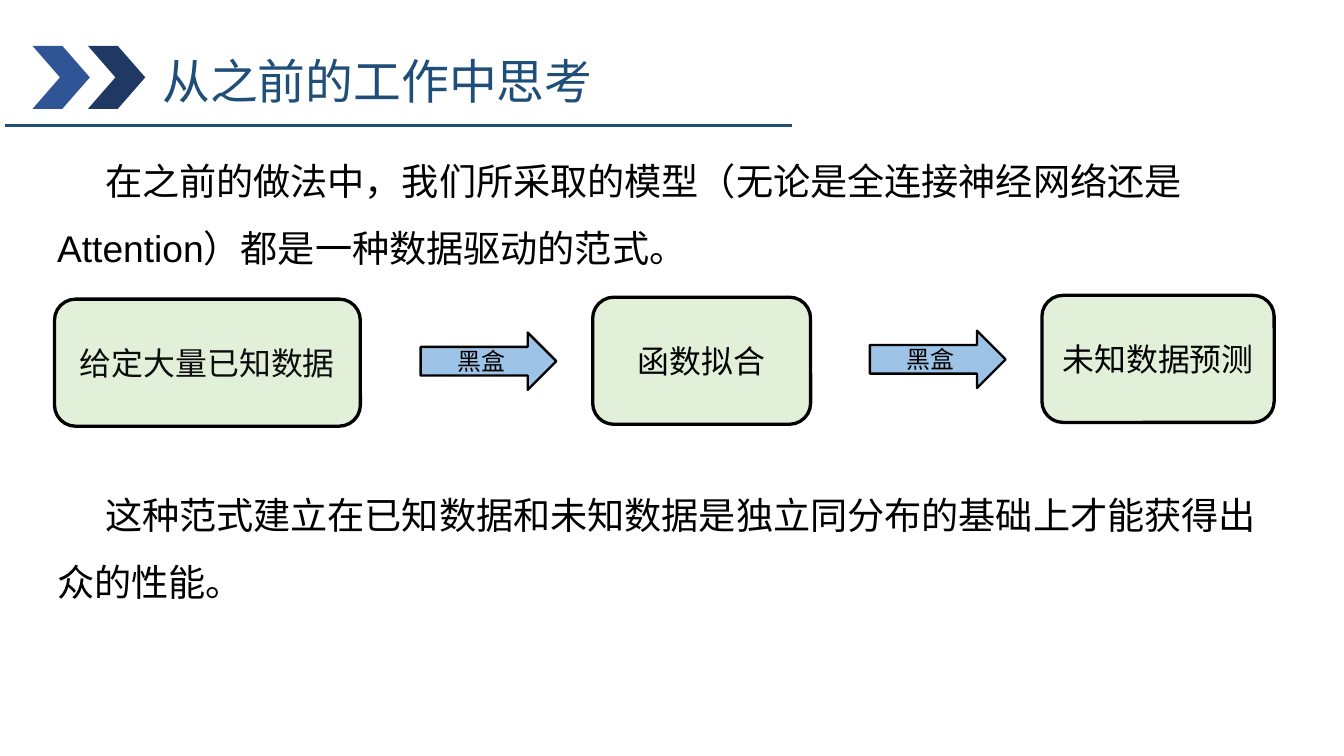
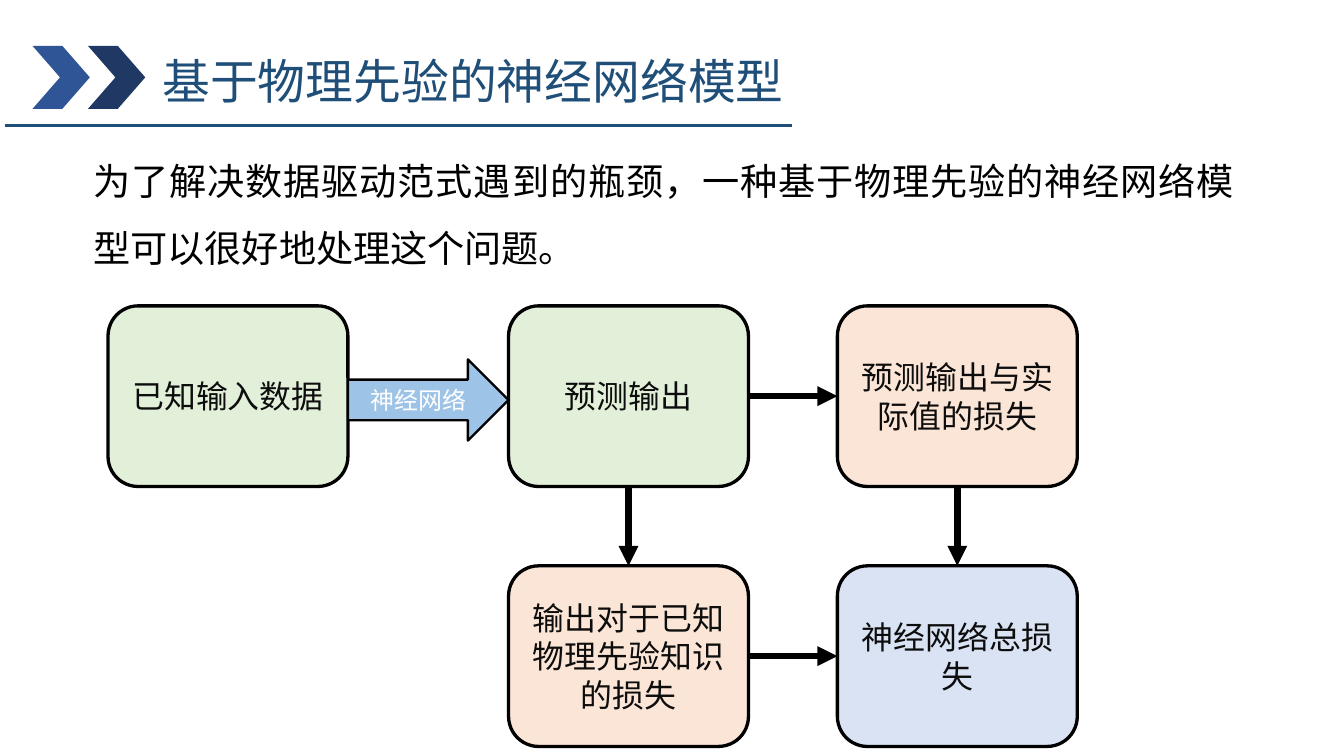
import pptx
import pptx.dml.color
import pptx.enum.shapes
import pptx.enum.text
import pptx.oxml.xmlchemy
import pptx.util

Inches = pptx.util.Inches
Pt = pptx.util.Pt
rgb = pptx.dml.color.RGBColor.from_string
Kind = pptx.enum.shapes.MSO_SHAPE
Align = pptx.enum.text.PP_ALIGN
Anchor = pptx.enum.text.MSO_ANCHOR
SubElement = pptx.oxml.xmlchemy.OxmlElement

NAVY = "1F4E79"
BLACK = "000000"
INK = "0D0D0D"
WHITE = "FFFFFF"
GREEN = "E2F0D9"
ORANGE = "FBE5D6"
PALE_BLUE = "DAE3F3"
ARROW_BLUE = "9DC3E6"


def write(text_frame, text, size, font, color, align=Align.LEFT, spacing=None):
    text_frame.word_wrap = True
    text_frame.text = text
    for paragraph in text_frame.paragraphs:
        paragraph.alignment = align
        paragraph.line_spacing = spacing
        for run in paragraph.runs:
            run.font.size = Pt(size)
            run.font.name = font
            run.font.language_id = pptx.enum.lang.MSO_LANGUAGE_ID.SIMPLIFIED_CHINESE
            run.font.color.rgb = rgb(color)
            east_asian = SubElement("a:ea")
            east_asian.set("typeface", "Calibri")
            run.font._element.find(pptx.oxml.ns.qn("a:latin")).addnext(east_asian)


def add_block(slide, kind, place, fill, text="", size=24, color=INK, border=None):
    shape = slide.shapes.add_shape(kind, *[Inches(value) for value in place])
    shape.shadow.inherit = False
    shape.fill.solid()
    shape.fill.fore_color.rgb = rgb(fill)
    if border:
        shape.line.color.rgb = rgb(BLACK)
        shape.line.width = Pt(border)
    else:
        shape.line.fill.background()
    if text:
        shape.text_frame.vertical_anchor = Anchor.MIDDLE
        write(shape.text_frame, text, size, "Calibri", color, Align.CENTER)
    return shape


presentation = pptx.Presentation()
presentation.slide_width = Inches(14.06)
presentation.slide_height = Inches(7.91)

pages = [
    ("从之前的工作中思考", (0.5, 1.37, 12.99, 4.94), Align.LEFT,
     "在之前的做法中，我们所采取的模型（无论是全连接神经网络还是Attention）都是一种数据驱动的范式。\n"
     "这种范式建立在已知数据和未知数据是独立同分布的基础上才能获得出众的性能。"),
    ("基于物理先验的神经网络模型", (0.88, 1.37, 12.13, 1.4), Align.JUSTIFY,
     "为了解决数据驱动范式遇到的瓶颈，一种基于物理先验的神经网络模型可以很好地处理这个问题。"),
]
slides = []
bodies = []
connectors = []
for title, body_place, body_align, body_text in pages:
    slide = presentation.slides.add_slide(presentation.slide_layouts[6])
    slides.append(slide)

    title_box = slide.shapes.add_textbox(Inches(1.6), Inches(0.25), Inches(8.67), Inches(0.86))
    write(title_box.text_frame, title, 36, "Noto Sans CJK SC", NAVY, spacing=1.4)
    for left, fill in ((0.34, "2F5597"), (0.92, "203864")):
        chevron = add_block(slide, Kind.CHEVRON, (left, 0.48, 0.6, 0.66), fill)
        chevron.adjustments[0] = 0.48

    rule = slide.shapes.add_connector(
        pptx.enum.shapes.MSO_CONNECTOR.STRAIGHT,
        Inches(0.05), Inches(1.31), Inches(8.29), Inches(1.31))
    rule.line.color.rgb = rgb(NAVY)
    rule.line.width = Pt(2.25)
    connectors.append(rule)

    body = slide.shapes.add_textbox(*[Inches(value) for value in body_place])
    write(body.text_frame, body_text, 28, "Arial", BLACK, body_align, 1.5)
    bodies.append(body)

thinking, physics = slides

for paragraph in bodies[0].text_frame.paragraphs:
    paragraph._p.get_or_add_pPr().set("indent", str(Inches(0.5)))
bodies[0].text_frame.paragraphs[1].space_before = Pt(151)

for text, left, top, width, color in (
    ("给定大量已知数据", 0.57, 3.13, 3.2, INK),
    ("函数拟合", 6.2, 3.11, 2.28, BLACK),
    ("未知数据预测", 10.9, 3.09, 2.43, BLACK),
):
    add_block(thinking, Kind.ROUNDED_RECTANGLE, (left, top, width, 1.33), GREEN, text,
              color=color, border=2.5)
for left, top in ((4.4, 3.48), (9.1, 3.46)):
    add_block(thinking, Kind.RIGHT_ARROW, (left, top, 1.42, 0.6), ARROW_BLUE, "黑盒",
              18, BLACK, 1.75)

columns = (1.13, 5.32, 8.76)
rows = (3.2, 5.92)
box_width, box_height = 2.51, 1.89
boxes = {}
for name, text, column, row, fill in (
    ("input", "已知输入数据", 0, 0, GREEN),
    ("output", "预测输出", 1, 0, GREEN),
    ("physics loss", "输出对于已知物理先验知识的损失", 1, 1, ORANGE),
    ("data loss", "预测输出与实际值的损失", 2, 0, ORANGE),
    ("total loss", "神经网络总损失", 2, 1, PALE_BLUE),
):
    place = (columns[column], rows[row], box_width, box_height)
    boxes[name] = add_block(physics, Kind.ROUNDED_RECTANGLE, place, fill, text, border=2.5)

network_left = columns[0] + box_width
add_block(physics, Kind.RIGHT_ARROW, (network_left, 3.76, columns[1] - network_left, 0.85),
          ARROW_BLUE, "神经网络", 18, WHITE, 1.75)

TOP, LEFT, BOTTOM, RIGHT = range(4)
for source, source_side, target, target_side in (
    ("output", RIGHT, "data loss", LEFT),
    ("output", BOTTOM, "physics loss", TOP),
    ("physics loss", RIGHT, "total loss", LEFT),
    ("data loss", BOTTOM, "total loss", TOP),
):
    arrow = physics.shapes.add_connector(pptx.enum.shapes.MSO_CONNECTOR.STRAIGHT, 0, 0, 0, 0)
    arrow.begin_connect(boxes[source], source_side)
    arrow.end_connect(boxes[target], target_side)
    arrow.line.color.rgb = rgb(BLACK)
    arrow.line.width = Pt(5)
    tail = SubElement("a:tailEnd")
    tail.set("type", "triangle")
    arrow.line._get_or_add_ln().append(tail)
    connectors.append(arrow)

for connector in connectors:
    connector._element.spPr.append(SubElement("a:effectLst"))

presentation.save("out.pptx")
